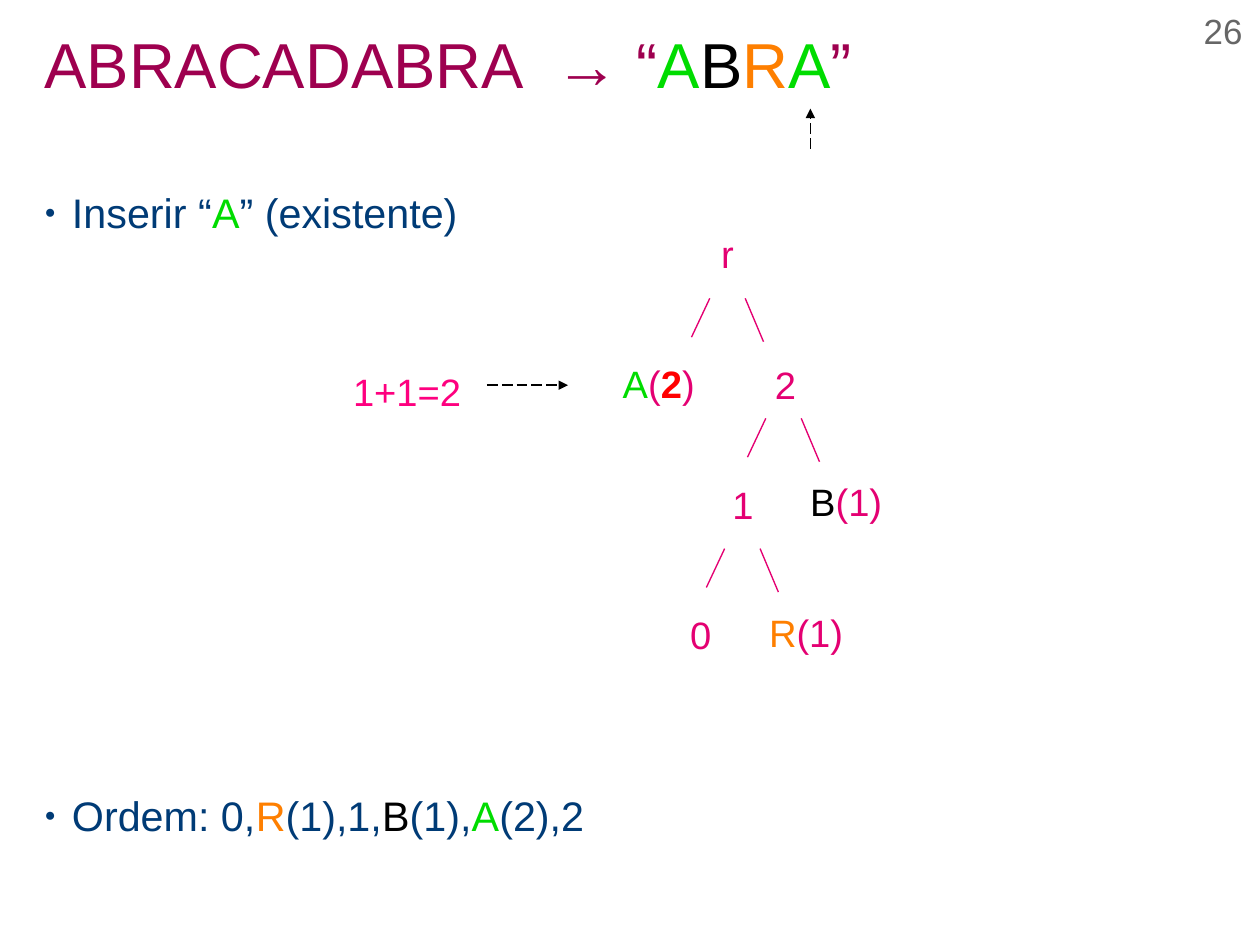
from lxml.etree import SubElement
from pptx import Presentation
from pptx.dml.color import RGBColor
from pptx.enum.dml import MSO_LINE
from pptx.enum.shapes import MSO_CONNECTOR
from pptx.enum.text import MSO_ANCHOR, PP_ALIGN
from pptx.oxml.ns import qn
from pptx.util import Inches, Pt

COLORS = {
    "title": "9E004F", "body": "003B76", "tree": "E40072", "sum": "FE007F",
    "a": "00DC00", "b": "000000", "r": "FE7F00", "count": "FF0000",
    "arrow": "000000", "number": "666666",
}

prs = Presentation()
prs.slide_width = Inches(28 / 2.54)
prs.slide_height = Inches(21 / 2.54)
slide = prs.slides.add_slide(prs.slide_layouts[6])


def add_text(paragraphs, left, top, width, height, size=24, inset=(0, 0), gap=0,
             anchor=MSO_ANCHOR.TOP, align=PP_ALIGN.LEFT, spacing=1.0, bullet=False):
    frame = slide.shapes.add_textbox(
        Inches(left), Inches(top), Inches(width), Inches(height)).text_frame
    frame.word_wrap = True
    frame.margin_left = frame.margin_right = Inches(inset[0])
    frame.margin_top = frame.margin_bottom = Inches(inset[1])
    frame.vertical_anchor = anchor
    for index, runs in enumerate(paragraphs):
        paragraph = frame.add_paragraph() if index else frame.paragraphs[0]
        paragraph.alignment = align
        paragraph.line_spacing = spacing
        if index:
            paragraph.space_before = Pt(gap)
        if bullet:
            props = paragraph._p.get_or_add_pPr()
            props.set("marL", str(Inches(0.24)))
            props.set("indent", str(-Inches(0.24)))
            SubElement(SubElement(props, qn("a:buClr")), qn("a:srgbClr"), val=COLORS["body"])
            SubElement(props, qn("a:buSzPct"), val="45000")
            SubElement(props, qn("a:buFont"), typeface="Arial")
            SubElement(props, qn("a:buChar"), char="●")
        for text, color in runs:
            run = paragraph.add_run()
            run.text = text
            run.font.name = "Arial"
            run.font.size = Pt(size)
            run.font.bold = color == "count"
            run.font.color.rgb = RGBColor.from_string(COLORS[color])


def add_line(x1, y1, x2, y2, color, arrow=False):
    line = slide.shapes.add_connector(
        MSO_CONNECTOR.STRAIGHT, Inches(x1), Inches(y1), Inches(x2), Inches(y2))
    line.line.color.rgb = RGBColor.from_string(COLORS[color])
    line.line.width = Pt(0.85)
    if arrow:
        line.line.dash_style = MSO_LINE.LONG_DASH
        SubElement(line.line._get_or_add_ln(), qn("a:tailEnd"), type="triangle")
    SubElement(line._element.spPr, qn("a:effectLst"))


heading = [("ABRACADABRA  → “", "title"), ("A", "a"), ("B", "b"), ("R", "r"),
           ("A", "a"), ("”", "title")]
add_text([heading], 0.39, 0.2, 10.24, 0.79, size=40, anchor=MSO_ANCHOR.MIDDLE, spacing=0.9)

insertion = [("Inserir “", "body"), ("A", "a"), ("” (existente)", "body")]
order = [("Ordem: 0,", "body"), ("R", "r"), ("(1),1,", "body"), ("B", "b"),
         ("(1),", "body"), ("A", "a"), ("(2),2", "body")]
add_text([insertion, order], 0.39, 1.57, 10.24, 6.5, size=26, gap=344,
         spacing=1.15, bullet=True)

nodes = [
    ([("r", "tree")], 6.21, 1.97, 0.31),
    ([("2", "tree")], 6.68, 3.11, 0.35),
    ([("A", "a"), ("(", "tree"), ("2", "count"), (")", "tree")], 5.35, 3.1, 1.06),
    ([("1", "tree")], 6.31, 4.16, 0.35),
    ([("B", "b"), ("(1)", "tree")], 6.99, 4.14, 1),
    ([("0", "tree")], 5.94, 5.3, 0.35),
    ([("R", "r"), ("(1)", "tree")], 6.63, 5.28, 1.09),
    ([("1+1=2", "sum")], 2.99, 3.17, 1.15),
]
for label, left, top, width in nodes:
    add_text([label], left, top, width, 0.47, inset=(0.1, 0.05))

for center, top in [(6.37, 2.61), (6.86, 3.66), (6.5, 4.8)]:
    add_line(center - 0.32, top + 0.34, center - 0.16, top, "tree")
    add_line(center + 0.31, top + 0.38, center + 0.15, top, "tree")

add_line(4.26, 3.37, 4.97, 3.37, "arrow", arrow=True)
add_line(7.09, 1.3, 7.09, 0.95, "arrow", arrow=True)

add_text([[("26", "number")]], 8.14, 0.08, 2.73, 0.46, size=22, align=PP_ALIGN.RIGHT)

prs.save("out.pptx")
